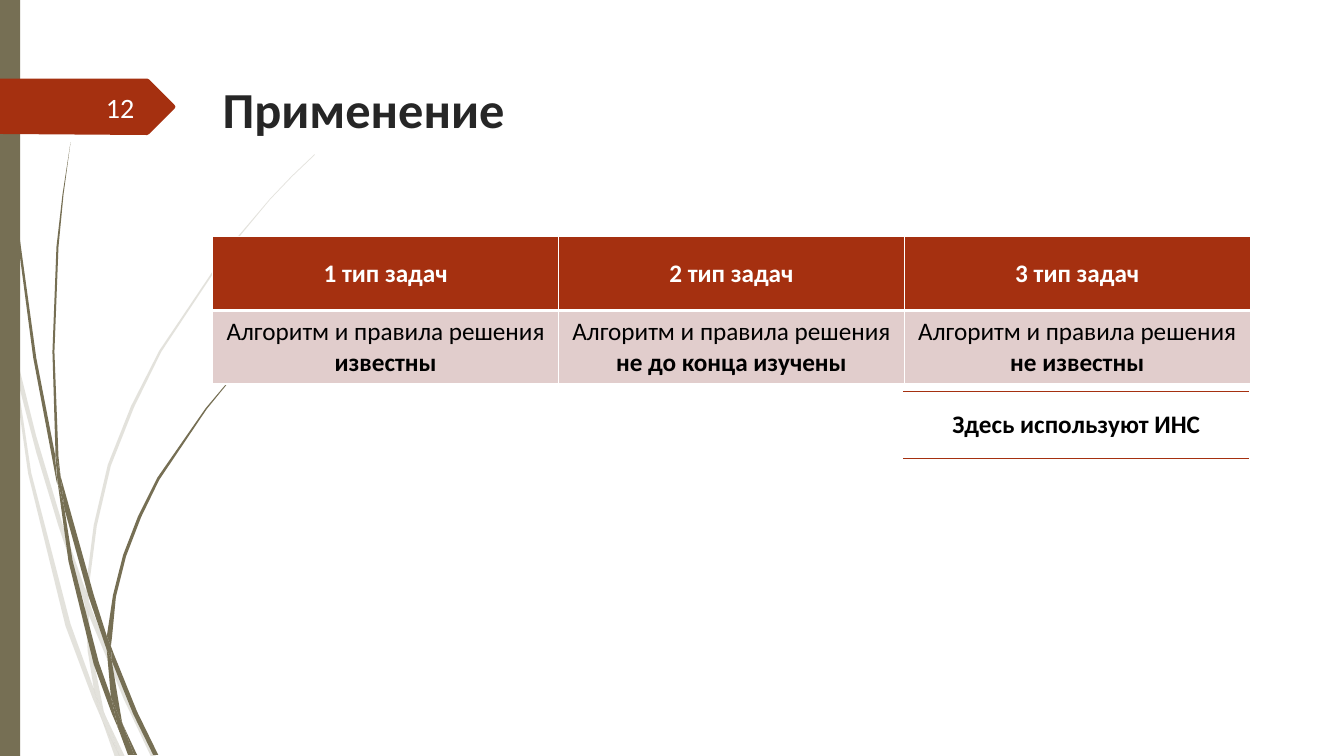
from lxml.etree import SubElement
from pptx import Presentation
from pptx.dml.color import RGBColor
from pptx.enum.shapes import MSO_SHAPE
from pptx.enum.text import MSO_ANCHOR, PP_ALIGN
from pptx.oxml import parse_xml
from pptx.oxml.ns import nsdecls, qn
from pptx.util import Inches, Pt

OLIVE, RUST, ROSE = "766F54", "A53010", "E1CDCC"
WHITE, BLACK, CHARCOAL, PAGE_WHITE = "FFFFFF", "000000", "262626", "FEFFFF"

FAINT_STEMS = [
    [(0.11, 3.5), (0.09, 3.22), (0, 2.82), (0, 2.99), (0.1, 3.44)],
    [(0.58, 5.22), (0.84, 5.99), (0.85, 5.86), (0.62, 5.2), (0.36, 4.33),
     (0.14, 3.45), (0.17, 3.76), (0.36, 4.49)],
    [(0.92, 6.07), (0.88, 5.96), (0.88, 6.1), (1.23, 6.94), (1.5, 7.51),
     (1.55, 7.51), (1.27, 6.92)],
    [(1.19, 7.51), (1.24, 7.51), (1.05, 7.11)],
    [(0.93, 6.83), (0.7, 6.19), (0.31, 4.69), (0.17, 3.76), (0.11, 3.5),
     (0.28, 4.7), (0.65, 6.21), (0.92, 6.93), (1.01, 7.14), (0.99, 7.07)],
    [(0.84, 5.99), (0.87, 6.46), (0.93, 6.83), (0.96, 6.92), (1.05, 7.11),
     (1.03, 7.06), (0.91, 6.46), (0.88, 6.1), (0.88, 6.08)],
    [(0.88, 5.84), (0.96, 5.22), (1.1, 4.62), (1.33, 4.04), (1.6, 3.49),
     (2.29, 2.45), (2.68, 1.98), (2.9, 1.75), (3.12, 1.54), (3.12, 1.53),
     (2.89, 1.75), (2.68, 1.97), (2.28, 2.44), (1.58, 3.48), (1.3, 4.03),
     (1.07, 4.61), (0.93, 5.21), (0.85, 5.84), (0.85, 5.86), (0.88, 5.96)],
    [(1.01, 7.14), (1.14, 7.51), (1.19, 7.51)],
    [(0.88, 6.08), (0.88, 6.1), (0.88, 5.96), (0.85, 5.86), (0.84, 5.99)],
    [(0.96, 6.92), (0.93, 6.83), (0.99, 7.07), (1.01, 7.14), (1.19, 7.51),
     (1.05, 7.11)],
]

DARK_STEMS = [
    [(0.07, 1.1), (0.17, 2.33), (0.33, 3.55), (0.56, 4.77), (0.57, 4.81),
     (0.55, 4.57), (0.55, 4.53), (0.36, 3.55), (0.19, 2.32), (0.08, 1.09),
     (0.05, 0.48), (0.04, 0), (0.03, 0), (0.04, 0.48)],
    [(0.88, 5.92), (1.06, 6.45), (1.06, 6.33), (1.06, 6.31), (0.93, 5.9),
     (0.6, 4.72), (0.64, 5.05)],
    [(1.13, 6.49), (1.1, 6.41), (1.11, 6.56), (1.32, 7.08), (1.52, 7.49),
     (1.57, 7.49), (1.36, 7.06)],
    [(1.1, 6.91), (0.98, 6.57), (0.72, 5.56), (0.64, 5.05), (0.57, 4.77),
     (0.68, 5.57), (0.93, 6.59), (1.11, 7.08), (1.17, 7.22), (1.16, 7.17)],
    [(0.6, 4.72), (0.58, 4.53), (0.54, 3.49), (0.58, 2.45), (0.63, 1.93),
     (0.7, 1.41), (0.62, 1.93), (0.56, 2.45), (0.52, 3.49), (0.55, 4.49)],
    [(1.33, 7.49), (1.36, 7.49), (1.22, 7.19)],
    [(0.57, 4.77), (0.64, 5.05), (0.6, 4.72), (0.55, 4.49), (0.55, 4.53)],
    [(1.11, 6.33), (1.15, 5.92), (1.25, 5.52), (1.4, 5.13), (1.58, 4.76),
     (2.05, 4.06), (2.31, 3.74), (2.45, 3.59), (2.61, 3.44), (2.6, 3.44),
     (2.45, 3.58), (2.31, 3.73), (2.04, 4.05), (1.56, 4.74), (1.37, 5.12),
     (1.22, 5.51), (1.12, 5.91), (1.06, 6.31), (1.1, 6.41)],
    [(1.17, 7.22), (1.27, 7.49), (1.31, 7.49)],
    [(1.06, 6.45), (1.1, 6.91), (1.16, 7.06), (1.22, 7.19), (1.21, 7.16),
     (1.11, 6.56), (1.09, 6.51)],
    [(1.06, 6.45), (1.09, 6.51), (1.11, 6.56), (1.1, 6.41), (1.06, 6.31),
     (1.06, 6.33)],
    [(1.16, 7.06), (1.1, 6.91), (1.16, 7.17), (1.17, 7.22), (1.3, 7.49),
     (1.33, 7.49), (1.22, 7.19)],
]

BANNER_OUTLINE = [(0, 0), (1.46, 0), (1.48, 0.01), (1.73, 0.26), (1.74, 0.28),
                  (1.73, 0.3), (1.48, 0.55), (1.46, 0.56), (0, 0.55)]


def color(value):
    return RGBColor.from_string(value)


def paint(shape, fill, opacity=100):
    shape.shadow.inherit = False
    shape.fill.solid()
    shape.fill.fore_color.rgb = color(fill)
    shape.line.fill.background()
    if opacity < 100:
        tint = shape.fill._xPr.find(qn("a:solidFill"))[0]
        SubElement(tint, qn("a:alpha")).set("val", str(opacity * 1000))


def write(frame, *parts, size=18, fill=BLACK, align=PP_ALIGN.CENTER):
    paragraph = frame.paragraphs[0]
    paragraph.alignment = align
    for text, bold in parts:
        run = paragraph.add_run()
        run.text = text
        run.font.name = "Calibri"
        run.font.size = Pt(size)
        run.font.bold = bold
        run.font.color.rgb = color(fill)


def add_text(slide, box, *parts, anchor=MSO_ANCHOR.TOP, **style):
    frame = slide.shapes.add_textbox(*map(Inches, box)).text_frame
    frame.word_wrap = True
    frame.vertical_anchor = anchor
    write(frame, *parts, **style)


def add_outline(slide, points, fill, left=0, top=0, opacity=100):
    start, *rest = [(Inches(left + x), Inches(top + y)) for x, y in points]
    builder = slide.shapes.build_freeform(*start)
    builder.add_line_segments(rest, close=True)
    paint(builder.convert_to_shape(), fill, opacity)


def set_borders(cell, **edges):
    properties = cell._tc.get_or_add_tcPr()
    for position, side in enumerate("LRTB"):
        edge = edges.get(side)
        line = parse_xml(f'<a:ln{side} {nsdecls("a")}/>')
        if edge:
            line.set("w", str(Pt(edge[1])))
            solid = SubElement(line, qn("a:solidFill"))
            SubElement(solid, qn("a:srgbClr")).set("val", edge[0])
        else:
            SubElement(line, qn("a:noFill"))
        properties.insert(position, line)


def add_plain_table(slide, box, rows, columns):
    table = slide.shapes.add_table(rows, columns, *map(Inches, box)).table
    table.first_row = table.horz_banding = False
    for cell in table.iter_cells():
        cell.vertical_anchor = MSO_ANCHOR.MIDDLE
    return table


def add_decoration(slide, left, top, height):
    for stems, opacity in ((FAINT_STEMS, 20), (DARK_STEMS, 100)):
        for stem in stems:
            add_outline(slide, stem, OLIVE, left, top, opacity)
    strip = slide.shapes.add_shape(
        MSO_SHAPE.RECTANGLE, *map(Inches, (left, top, 0.2, height)))
    paint(strip, OLIVE)


def add_page_banner(slide, left, top, number):
    add_outline(slide, BANNER_OUTLINE, RUST, left, top)
    add_text(slide, (left + 0.58, top + 0.08, 0.85, 0.4), (number, False),
             size=20, fill=PAGE_WHITE, align=PP_ALIGN.RIGHT,
             anchor=MSO_ANCHOR.MIDDLE)


def add_task_table(slide, box, tasks):
    table = add_plain_table(slide, box, 2, len(tasks))
    thin, thick = (WHITE, 1), (WHITE, 3)
    for column, (heading, knowledge) in enumerate(tasks):
        header, body = table.cell(0, column), table.cell(1, column)
        write(header.text_frame, (heading, True), fill=WHITE)
        write(body.text_frame, ("Алгоритм и правила решения ", False),
              (knowledge, True))
        for cell, fill in ((header, RUST), (body, ROSE)):
            cell.fill.solid()
            cell.fill.fore_color.rgb = color(fill)
        set_borders(header, L=thin, R=thin, T=thin, B=thick)
        set_borders(body, L=thin, R=thin, T=thick, B=thin)


def add_conclusion(slide, box, text):
    cell = add_plain_table(slide, box, 1, 1).cell(0, 0)
    write(cell.text_frame, (text, True))
    cell.fill.background()
    set_borders(cell, T=(RUST, 1), B=(RUST, 1))


def main():
    presentation = Presentation()
    presentation.slide_width = Inches(13.33)
    presentation.slide_height = Inches(7.5)
    slide = presentation.slides.add_slide(presentation.slide_layouts[6])
    add_decoration(slide, 0, 0, 7.5)
    add_page_banner(slide, 0, 0.78, "12")
    add_task_table(slide, (2.11, 2.35, 10.29, 1.46), [
        ("1 тип задач", "известны"),
        ("2 тип задач", "не до конца изучены"),
        ("3 тип задач", "не известны"),
    ])
    add_text(slide, (2.11, 0.73, 8.62, 1.62), ("Применение", True),
             size=36, fill=CHARCOAL, align=PP_ALIGN.LEFT)
    add_conclusion(slide, (8.96, 3.88, 3.43, 0.67), "Здесь используют ИНС")
    presentation.save("out.pptx")


if __name__ == "__main__":
    main()
